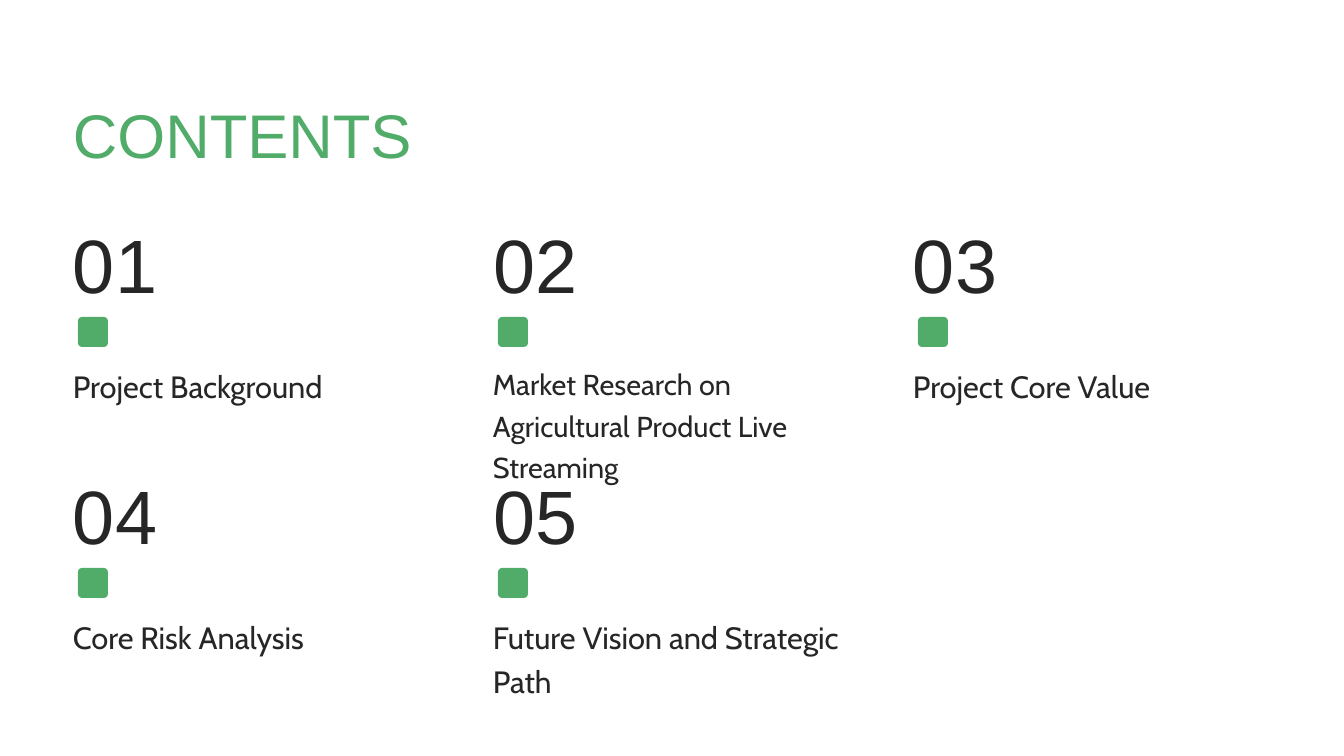
from pptx import Presentation
from pptx.dml.color import RGBColor
from pptx.enum.shapes import MSO_SHAPE
from pptx.enum.text import MSO_ANCHOR, MSO_AUTO_SIZE, PP_ALIGN
from pptx.util import Pt

EMU_PER_PX = 914400 / 100.8
COLORS = {"green": "51AB69", "ink": "262626"}
CHAPTERS = [
    ("Project Background", 22),
    ("Market Research on Agricultural Product Live Streaming", 20.6),
    ("Project Core Value", 22),
    ("Core Risk Analysis", 22),
    ("Future Vision and Strategic Path", 22),
]
COLUMNS = 3
GRID_LEFT, GRID_TOP = 73, 218
COLUMN_PITCH, ROW_PITCH = 420, 251


def px(length):
    return round(length * EMU_PER_PX)


def color(name):
    return RGBColor.from_string(COLORS[name])


def place(shape, left, top, width, height):
    shape.left, shape.top = px(left), px(top)
    shape.width, shape.height = px(width), px(height)


def write(shape, text, *, size, font="Arial", fill="ink", spacing=1.0,
          anchor=MSO_ANCHOR.TOP):
    frame = shape.text_frame
    frame.word_wrap = True
    frame.auto_size = MSO_AUTO_SIZE.NONE
    frame.vertical_anchor = anchor
    frame.margin_left = frame.margin_right = 0
    frame.margin_top = frame.margin_bottom = 0
    paragraph = frame.paragraphs[0]
    paragraph.alignment = PP_ALIGN.LEFT
    paragraph.line_spacing = spacing
    run = paragraph.add_run()
    run.text = text
    run.font.name = font
    run.font.size = Pt(size)
    run.font.color.rgb = color(fill)


def add_text(slide, text, left, top, width, height, **style):
    box = slide.shapes.add_textbox(px(left), px(top), px(width), px(height))
    write(box, text, **style)


def add_marker(slide, left, top):
    marker = slide.shapes.add_shape(
        MSO_SHAPE.ROUNDED_RECTANGLE, px(left), px(top), px(30), px(30))
    marker.adjustments[0] = 0.135
    marker.shadow.inherit = False
    marker.fill.solid()
    marker.fill.fore_color.rgb = color("green")
    marker.line.fill.background()


def add_chapter(slide, index, label, size):
    row, column = divmod(index, COLUMNS)
    left = GRID_LEFT + column * COLUMN_PITCH
    top = GRID_TOP + row * ROW_PITCH
    add_text(slide, f"{index + 1:02d}", left, top, 158, 88, size=54)
    add_marker(slide, left + 5, top + 99)
    add_text(slide, label, left, top + 142, 357, 103,
             size=size, font="Cabin", spacing=1.2)


def main():
    presentation = Presentation()
    presentation.slide_width, presentation.slide_height = px(1344), px(756)
    slide = presentation.slides.add_slide(presentation.slide_layouts[5])

    # Heading
    title = slide.shapes.title
    place(title, GRID_LEFT, 86, 459, 85)
    write(title, "CONTENTS", size=44, fill="green", spacing=1.1,
          anchor=MSO_ANCHOR.BOTTOM)

    # Numbered chapters in a three-column grid
    for index, (label, size) in enumerate(CHAPTERS):
        add_chapter(slide, index, label, size)

    presentation.save("out.pptx")


if __name__ == "__main__":
    main()
